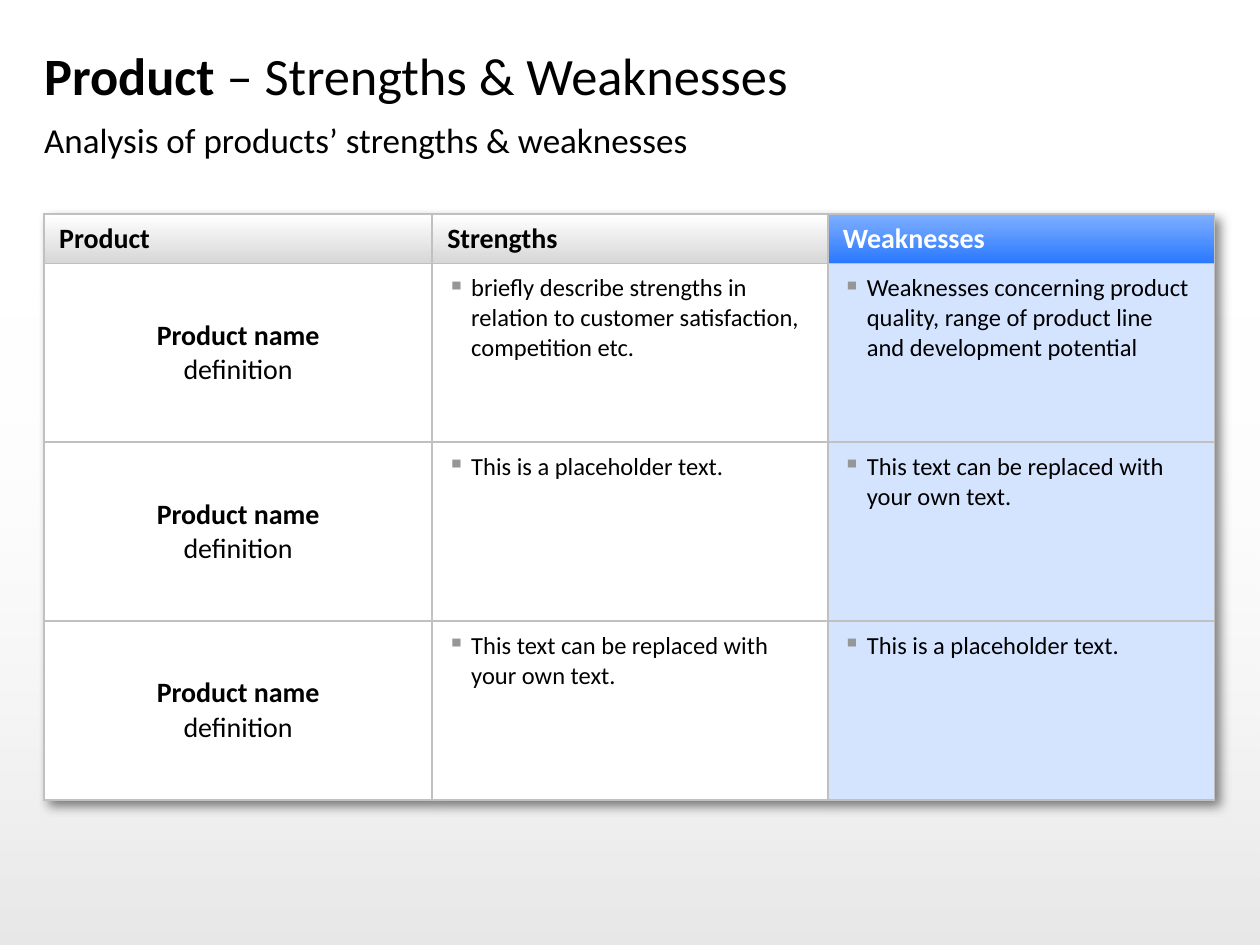
import pptx
import pptx.dml.color
import pptx.enum.shapes
import pptx.enum.text
import pptx.oxml
import pptx.oxml.ns
import pptx.util

COLORS = {
    "black": "000000", "white": "FFFFFF", "silver": "D7D7D7",
    "border": "C0C0C0", "bullet": "969696", "pale": "D4E4FF",
    "sky": "7FAFFF", "blue": "2A79FF",
}
GRID_COLS, GRID_ROWS = 100, 75
NS = pptx.oxml.ns.nsdecls("a")
ALIGN = pptx.enum.text.PP_ALIGN
ANCHOR = pptx.enum.text.MSO_ANCHOR


def rgb(name):
    return pptx.dml.color.RGBColor.from_string(COLORS[name])


def xml(text):
    return pptx.oxml.parse_xml(text.replace(">", f" {NS}>", 1))


class Deck:
    font = "Calibri"

    def __init__(self):
        self.prs = pptx.Presentation()
        self.prs.slide_width = pptx.util.Inches(10)
        self.prs.slide_height = pptx.util.Inches(7.5)
        self.s = self.prs.slides.add_slide(self.prs.slide_layouts[1])

    def x(self, cols):
        return round(self.prs.slide_width * cols / GRID_COLS)

    def y(self, rows):
        return round(self.prs.slide_height * rows / GRID_ROWS)

    def box(self, left, top, width, height):
        return self.x(left), self.y(top), self.x(width), self.y(height)

    def run(self, p, text, size, bold=False, color="black"):
        r = p.add_run()
        r.text = text
        r.font.name = self.font
        r.font.size = pptx.util.Pt(size)
        r.font.bold = bold
        r.font.color.rgb = rgb(color)

    def gradient(self, fill, start, end, angle):
        fill.gradient()
        fill.gradient_angle = angle
        for stop, color in zip(fill.gradient_stops, (start, end)):
            stop.color.rgb = rgb(color)

    def backdrop(self, box, alphas):
        sp = self.s.shapes.add_shape(
            pptx.enum.shapes.MSO_SHAPE.RECTANGLE, *self.box(*box))
        sp.shadow.inherit = False
        sp.line.fill.background()
        self.gradient(sp.fill, "black", "white", 90)
        stops = sp._element.spPr.iter(pptx.oxml.ns.qn("a:srgbClr"))
        for color, alpha in zip(stops, alphas):
            color.append(xml(f'<a:alpha val="{alpha * 1000}"/>'.replace("/>", "></a:alpha>")))
        self.s.shapes._spTree.insert(2, sp._element)

    def placeholder(self, idx, box, size, runs, anchor):
        sp = self.s.placeholders[idx]
        sp.left, sp.top, sp.width, sp.height = self.box(*box)
        tf = sp.text_frame
        tf.auto_size = pptx.enum.text.MSO_AUTO_SIZE.NONE
        tf.word_wrap = True
        tf.vertical_anchor = anchor
        tf.margin_left = tf.margin_right = tf.margin_top = tf.margin_bottom = 0
        p = tf.paragraphs[0]
        pPr = p._p.get_or_add_pPr()
        pPr.set("marL", "0")
        pPr.set("indent", "0")
        pPr.append(xml("<a:buNone></a:buNone>"))
        p.alignment = ALIGN.LEFT
        p.space_before = pptx.util.Pt(0)
        for text, bold in runs:
            self.run(p, text, size, bold)

    def table(self, box, cols, rows):
        frame = self.s.shapes.add_table(len(rows), len(cols), *self.box(*box))
        table = frame.table
        table.first_row = table.horz_banding = False
        for col, width in zip(table.columns, cols):
            col.width = self.x(width)
        for row, height in zip(table.rows, rows):
            row.height = self.y(height)
        table._tbl.tblPr.insert(0, xml(
            '<a:effectLst><a:outerShdw blurRad="76200" dist="50800" dir="2700000" '
            'algn="tl" rotWithShape="0"><a:srgbClr val="000000">'
            '<a:alpha val="50000"/></a:srgbClr></a:outerShdw></a:effectLst>'))
        return table

    def cell(self, cell, fill, anchor, right=1.2, pad=0.8):
        cell.vertical_anchor = anchor
        cell.margin_left, cell.margin_right = self.x(1.2), self.x(right)
        cell.margin_top = cell.margin_bottom = self.y(pad)
        if isinstance(fill, tuple):
            self.gradient(cell.fill, *fill, 270)
        else:
            cell.fill.solid()
            cell.fill.fore_color.rgb = rgb(fill)
        tcPr = cell._tc.get_or_add_tcPr()
        for i, side in enumerate("LRTB"):
            tcPr.insert(i, xml(
                f'<a:ln{side} w="12700"><a:solidFill><a:srgbClr val="{COLORS["border"]}"/>'
                f'</a:solidFill></a:ln{side}>'))
        return cell.text_frame

    def header_cell(self, cell, text, fill, color):
        tf = self.cell(cell, fill, ANCHOR.MIDDLE, pad=0)
        self.run(tf.paragraphs[0], text, 16, True, color)

    def name_cell(self, cell, name, detail):
        tf = self.cell(cell, "white", ANCHOR.MIDDLE)
        for p, text, bold in ((tf.paragraphs[0], name, True),
                              (tf.add_paragraph(), detail, False)):
            p.alignment = ALIGN.CENTER
            self.run(p, text, 16, bold)

    def bullet_cell(self, cell, text, fill):
        tf = self.cell(cell, fill, ANCHOR.TOP, right=2)
        p = tf.paragraphs[0]
        pPr = p._p.get_or_add_pPr()
        pPr.set("marL", str(self.x(1.9)))
        pPr.set("indent", str(-self.x(1.9)))
        pPr.append(xml(f'<a:buClr><a:srgbClr val="{COLORS["bullet"]}"/></a:buClr>'))
        pPr.append(xml('<a:buChar char="▪"></a:buChar>'))
        p.space_after = pptx.util.Pt(6)
        self.run(p, text, 14)


def main():
    deck = Deck()
    deck.backdrop((0, 22.1, 100, 52.9), (10, 0))
    deck.placeholder(0, (3.5, 2.6, 92.9, 6.7), 30,
                     [("Product ", True), ("– Strengths & Weaknesses", False)],
                     ANCHOR.MIDDLE)
    deck.placeholder(1, (3.5, 9.4, 92.9, 3.7), 20,
                     [("Analysis of products’ strengths & weaknesses", False)],
                     ANCHOR.TOP)

    gray, blue = ("white", "silver"), ("sky", "blue")
    headers = [("Product", gray, "black"), ("Strengths", gray, "black"),
               ("Weaknesses", blue, "white")]
    sample = "This is a placeholder text."
    replace = "This text can be replaced with your own text."
    products = [
        ("briefly describe strengths in relation to customer satisfaction, "
         "competition etc.",
         "Weaknesses concerning product quality, range of product line and "
         "development potential"),
        (sample, replace),
        (replace, sample),
    ]
    table = deck.table((3.5, 17, 92.9, 46.5), (30.8, 31.4, 30.7),
                       [3.9] + [14.2] * len(products))
    for col, header in enumerate(headers):
        deck.header_cell(table.cell(0, col), *header)
    for row, (strength, weakness) in enumerate(products, 1):
        deck.name_cell(table.cell(row, 0), "Product name", "definition")
        deck.bullet_cell(table.cell(row, 1), strength, "white")
        deck.bullet_cell(table.cell(row, 2), weakness, "pale")
    deck.prs.save("out.pptx")


if __name__ == "__main__":
    main()
